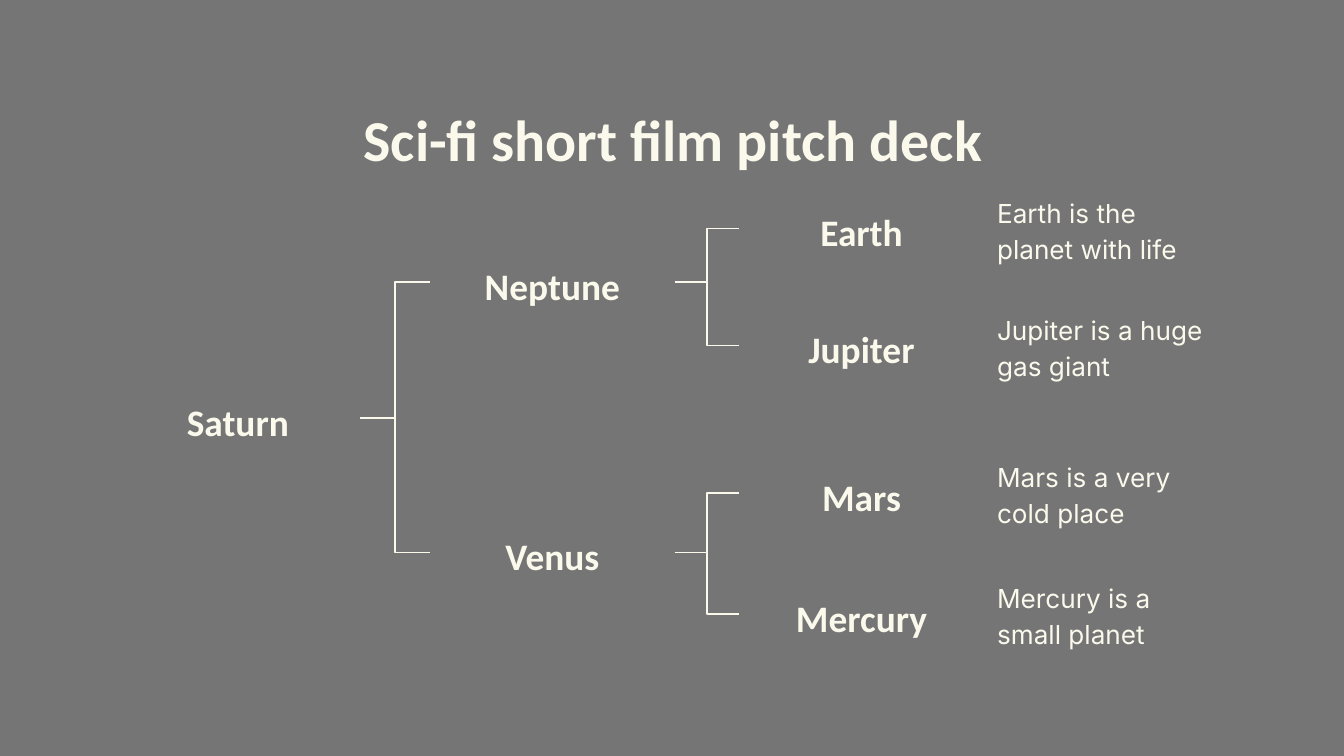
import pptx
import pptx.dml.color
import pptx.enum.shapes
import pptx.enum.text
import pptx.oxml.ns
import pptx.util
from lxml import etree

Inches = pptx.util.Inches
ALIGN = pptx.enum.text.PP_ALIGN
ANCHOR = pptx.enum.text.MSO_ANCHOR


def color(hex_code):
    return pptx.dml.color.RGBColor.from_string(hex_code)


class TreeSlide:
    ink = "FAF9EC"
    shade = "161616"
    heading_font = "Calibri"
    body_font = "Inter"

    def __init__(self, page):
        self.page = page

    def backdrop(self, width, height, opacity):
        panel = self.page.shapes.add_shape(
            pptx.enum.shapes.MSO_SHAPE.RECTANGLE, 0, 0, Inches(width), Inches(height))
        panel.shadow.inherit = False
        panel.line.fill.background()
        panel.fill.solid()
        panel.fill.fore_color.rgb = color(self.shade)
        tint = panel.fill._xPr.find(".//" + pptx.oxml.ns.qn("a:srgbClr"))
        etree.SubElement(tint, pptx.oxml.ns.qn("a:alpha"), val=str(opacity * 1000))

    def text(self, words, left, top, width, height, size, font=heading_font,
             bold=True, align=ALIGN.CENTER, anchor=ANCHOR.MIDDLE):
        box = self.page.shapes.add_textbox(
            Inches(left), Inches(top), Inches(width), Inches(height))
        frame = box.text_frame
        frame.word_wrap = True
        frame.vertical_anchor = anchor
        frame.margin_left = frame.margin_right = Inches(0.1)
        frame.margin_top = frame.margin_bottom = Inches(0.1)
        para = frame.paragraphs[0]
        para.text = words
        para.alignment = align
        para.line_spacing = 1.15
        para.font.name = font
        para.font.size = pptx.util.Pt(size)
        para.font.bold = bold
        para.font.color.rgb = color(self.ink)

    def node(self, name, left, middle, height):
        self.text(name, left, middle - height / 2, NODE_WIDTH, height, 20)

    def note(self, words, left, middle, height):
        self.text(words, left, middle - height / 2, NODE_WIDTH, height, 14,
                  font=self.body_font, bold=False, align=ALIGN.LEFT)

    def branch(self, start_x, start_y, end_x, end_y):
        link = self.page.shapes.add_connector(
            pptx.enum.shapes.MSO_CONNECTOR.ELBOW,
            Inches(start_x), Inches(start_y), Inches(end_x), Inches(end_y))
        link.line.color.rgb = color(self.ink)
        link.line.width = pptx.util.Pt(0.75)
        etree.SubElement(link._element.spPr, pptx.oxml.ns.qn("a:effectLst"))


# A 16:9 page
PAGE_WIDTH = 10
PAGE_HEIGHT = PAGE_WIDTH * 9 / 16

# Columns of the tree, and the middle height of each node
NODE_WIDTH = 1.82
ROOT_X, BRANCH_X, LEAF_X = 0.86, 3.2, 5.5
NOTE_X = LEAF_X + NODE_WIDTH
NODE_HEIGHT, LEAF_HEIGHT = 0.55, 0.64
ROOT = ("Saturn", 3.11)
BRANCHES = [
    ("Neptune", 2.1, [("Earth", 1.7, "Earth is the planet with life"),
                      ("Jupiter", 2.57, "Jupiter is a huge gas giant")]),
    ("Venus", 4.11, [("Mars", 3.67, "Mars is a very cold place"),
                     ("Mercury", 4.57, "Mercury is a small planet")]),
]


def main():
    deck = pptx.Presentation()
    deck.slide_width, deck.slide_height = Inches(PAGE_WIDTH), Inches(PAGE_HEIGHT)
    slide = TreeSlide(deck.slides.add_slide(deck.slide_layouts[6]))

    # Backdrop and title
    slide.backdrop(PAGE_WIDTH, PAGE_HEIGHT, 59)
    slide.text("Sci-fi short film pitch deck", 0.79, 0.59, 8.43, 0.69, 31,
               anchor=ANCHOR.TOP)

    # Tree, from the root to the leaves and their notes
    root_name, root_y = ROOT
    slide.node(root_name, ROOT_X, root_y, NODE_HEIGHT)
    for name, middle, leaves in BRANCHES:
        slide.branch(ROOT_X + NODE_WIDTH, root_y, BRANCH_X, middle)
        slide.node(name, BRANCH_X, middle, NODE_HEIGHT)
        for leaf, leaf_y, words in leaves:
            slide.branch(BRANCH_X + NODE_WIDTH, middle, LEAF_X, leaf_y)
            slide.node(leaf, LEAF_X, leaf_y, LEAF_HEIGHT)
            slide.note(words, NOTE_X, leaf_y, LEAF_HEIGHT)

    deck.save("out.pptx")


if __name__ == "__main__":
    main()
